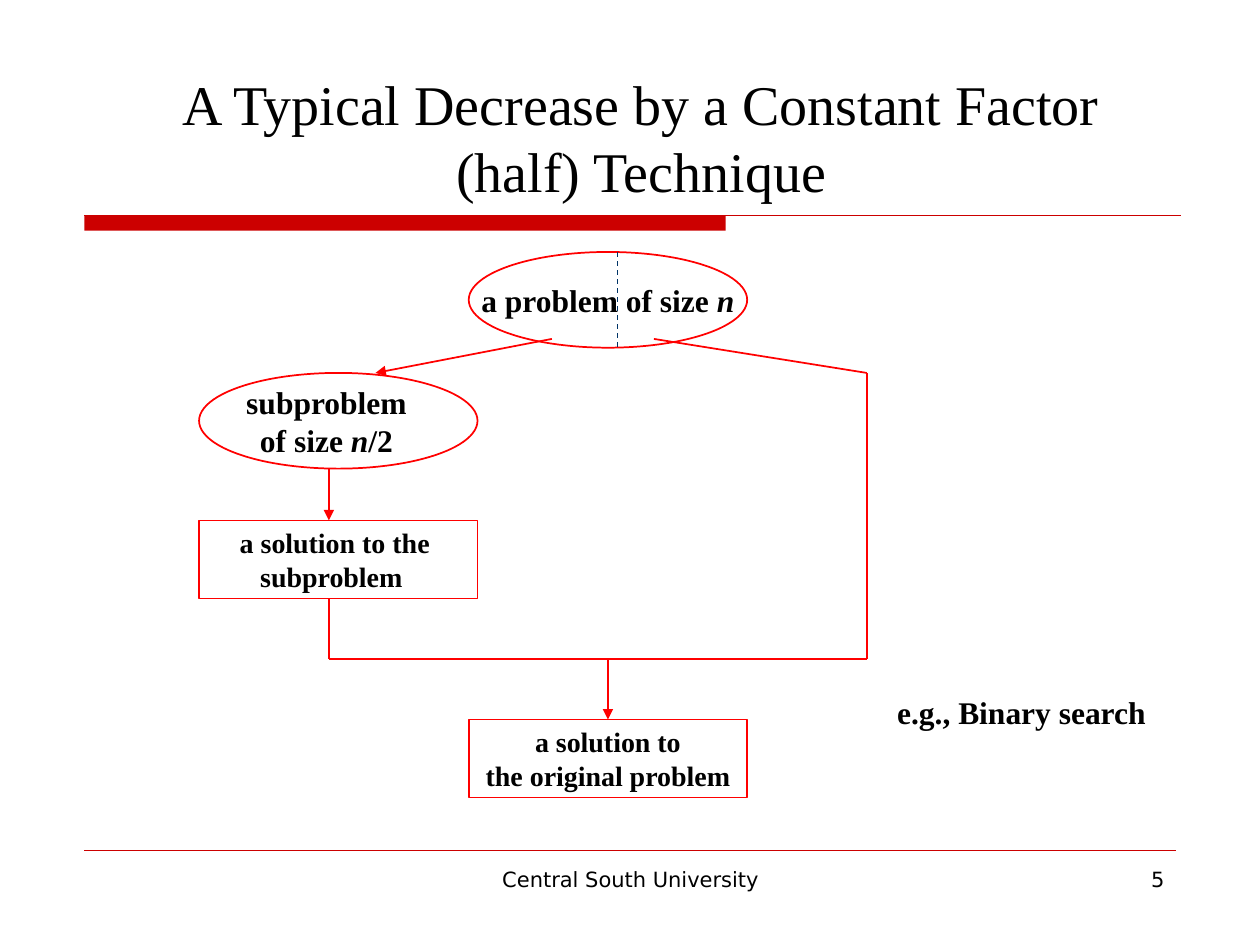
from lxml import etree
from pptx import Presentation
from pptx.dml.color import RGBColor
from pptx.enum.dml import MSO_LINE
from pptx.enum.shapes import MSO_CONNECTOR, MSO_SHAPE
from pptx.enum.text import MSO_ANCHOR, MSO_AUTO_SIZE, PP_ALIGN
from pptx.oxml.ns import qn
from pptx.util import Inches, Pt

BLACK = RGBColor(0x00, 0x00, 0x00)
RED = RGBColor(0xFF, 0x00, 0x00)
CRIMSON = RGBColor(0xCC, 0x00, 0x00)
NAVY = RGBColor(0x00, 0x33, 0x66)
SERIF, SANS = "Times New Roman", "DejaVu Sans"
ELLIPSE, RECT = MSO_SHAPE.OVAL, MSO_SHAPE.RECTANGLE
STRAIGHT = MSO_CONNECTOR.STRAIGHT
DASH = MSO_LINE.DASH
MIDDLE, BOTTOM = MSO_ANCHOR.MIDDLE, MSO_ANCHOR.BOTTOM
LEFT, CENTER, RIGHT = PP_ALIGN.LEFT, PP_ALIGN.CENTER, PP_ALIGN.RIGHT
NO_FIT = MSO_AUTO_SIZE.NONE
TOP_SIDE = 0

COLS, ROWS = 100, 75  # grid cells of a tenth of an inch


class SlideBuilder:
    def __init__(self, prs):
        self.col = prs.slide_width / COLS
        self.row = prs.slide_height / ROWS
        self.s = prs.slides.add_slide(prs.slide_layouts[5])

    def box(self, x, y, w, h):
        return (round(x * self.col), round(y * self.row),
                round(w * self.col), round(h * self.row))

    def add_runs(self, p, runs, size, font=SERIF, bold=False, align=CENTER):
        """Add (text, italic) runs to a paragraph."""
        p.alignment = align
        for text, italic in runs:
            r = p.add_run()
            r.text = text
            f = r.font
            f.size, f.name, f.bold, f.italic = Pt(size), font, bold, italic
            f.color.rgb = BLACK

    def title(self, text, *place):
        sp = self.s.shapes.title
        sp.left, sp.top, sp.width, sp.height = self.box(*place)
        tf = sp.text_frame
        tf.vertical_anchor, tf.auto_size = BOTTOM, NO_FIT
        self.add_runs(tf.paragraphs[0], [(text, False)], 32)

    def text(self, text, place, size, font, bold=False, align=LEFT):
        tf = self.s.shapes.add_textbox(*self.box(*place)).text_frame
        tf.word_wrap = True
        self.add_runs(tf.paragraphs[0], [(text, False)], size, font, bold, align)
        return tf

    def bar(self, *place):
        sp = self.s.shapes.add_shape(RECT, *self.box(*place))
        sp.shadow.inherit = False
        sp.fill.solid()
        sp.fill.fore_color.rgb = CRIMSON
        sp.line.fill.background()

    def node(self, kind, place, size, lines, wrap=True):
        """Outlined shape; each line is (runs, right indent in points)."""
        sp = self.s.shapes.add_shape(kind, *self.box(*place))
        sp.shadow.inherit = False
        sp.fill.background()
        sp.line.color.rgb, sp.line.width = RED, Pt(1)
        tf = sp.text_frame
        tf.word_wrap, tf.vertical_anchor = wrap, MIDDLE
        tf.margin_left = tf.margin_right = 0
        for i, (runs, indent) in enumerate(lines):
            p = tf.add_paragraph() if i else tf.paragraphs[0]
            self.add_runs(p, runs, size, bold=True)
            if indent:
                p._p.get_or_add_pPr().set("marR", str(Pt(indent)))
        return sp

    def line(self, start, end, color=RED, width=1, arrow=False, dash=None):
        cn = self.s.shapes.add_connector(STRAIGHT, *self.box(*start, *end))
        cn.line.color.rgb, cn.line.width = color, Pt(width)
        if dash:
            cn.line.dash_style = dash
        sp_pr = cn._element.spPr
        if arrow:
            etree.SubElement(sp_pr.find(qn("a:ln")), qn("a:tailEnd"), type="triangle")
        etree.SubElement(sp_pr, qn("a:effectLst"))
        return cn


def main():
    prs = Presentation()
    prs.slide_width, prs.slide_height = Inches(10), Inches(7.5)
    b = SlideBuilder(prs)

    # Title, rules and footer
    b.title("A Typical Decrease by a Constant Factor (half) Technique",
            8.3, 4.2, 85.2, 12.5)
    b.bar(6.7, 17.1, 50.9, 1.2)
    b.line((6.7, 17.1), (93.7, 17.1), CRIMSON, 0.75)
    b.line((6.7, 67.5), (93.3, 67.5), CRIMSON, 0.25)
    b.text("Central South University", (34.2, 68.3, 31.7, 5.2), 12, SANS, align=CENTER)
    b.text("5", (71.7, 68.3, 21.7, 5.2), 12, SANS, align=RIGHT)

    # Flow positions
    node_w, oval_h, rect_h = 22.1, 7.6, 6.2
    left_x, mid_x = 15.8, 37.2
    problem_y, sub_y, sub_sol_y, solution_y = 20, 29.6, 41.3, 57.1
    branch_x, bypass_x, merge_y = 26.1, 68.8, 52.3
    center_x = mid_x + node_w / 2
    split_y = 26.9

    # Problems and solutions
    b.node(ELLIPSE, (mid_x, problem_y, node_w, oval_h), 18,
           [([("a problem of size ", False), ("n", True)], 0)], wrap=False)
    b.node(ELLIPSE, (left_x, sub_y, node_w, oval_h), 18,
           [([("subproblem", False)], 13.5),
            ([("of size ", False), ("n", True), ("/2", False)], 0)])
    b.node(RECT, (left_x, sub_sol_y, node_w, rect_h), 16,
           [([("a solution to the", False)], 4), ([("subproblem", False)], 8)])
    solution = b.node(RECT, (mid_x, solution_y, node_w, rect_h), 16,
                      [([("a solution to", False)], 0),
                       ([("the original problem", False)], 0)])

    # Flow lines
    corner = (bypass_x, sub_y)
    for start, end, arrow in (
        ((43.8, split_y), (29.8, sub_y), True),
        ((51.9, split_y), corner, False),
        ((branch_x, sub_y + oval_h), (branch_x, sub_sol_y), True),
        ((branch_x, sub_sol_y + rect_h), (branch_x, merge_y), False),
        (corner, (bypass_x, merge_y), False),
        ((branch_x, merge_y), (bypass_x, merge_y), False),
    ):
        b.line(start, end, arrow=arrow)
    merge = b.line((center_x, merge_y), (center_x, solution_y), arrow=True)
    merge.end_connect(solution, TOP_SIDE)
    b.line((49, problem_y), (49, problem_y + oval_h), NAVY, 0.75, dash=DASH)

    # Example
    tf = b.text("e.g., Binary search", (65.2, 55.1, 27.4, 3.4), 18, SERIF, bold=True)
    tf.margin_left = Inches(0.6)
    p = tf.paragraphs[0]
    p.line_spacing, p.space_before = 0.8, Pt(4.5)

    prs.save("out.pptx")


if __name__ == "__main__":
    main()
